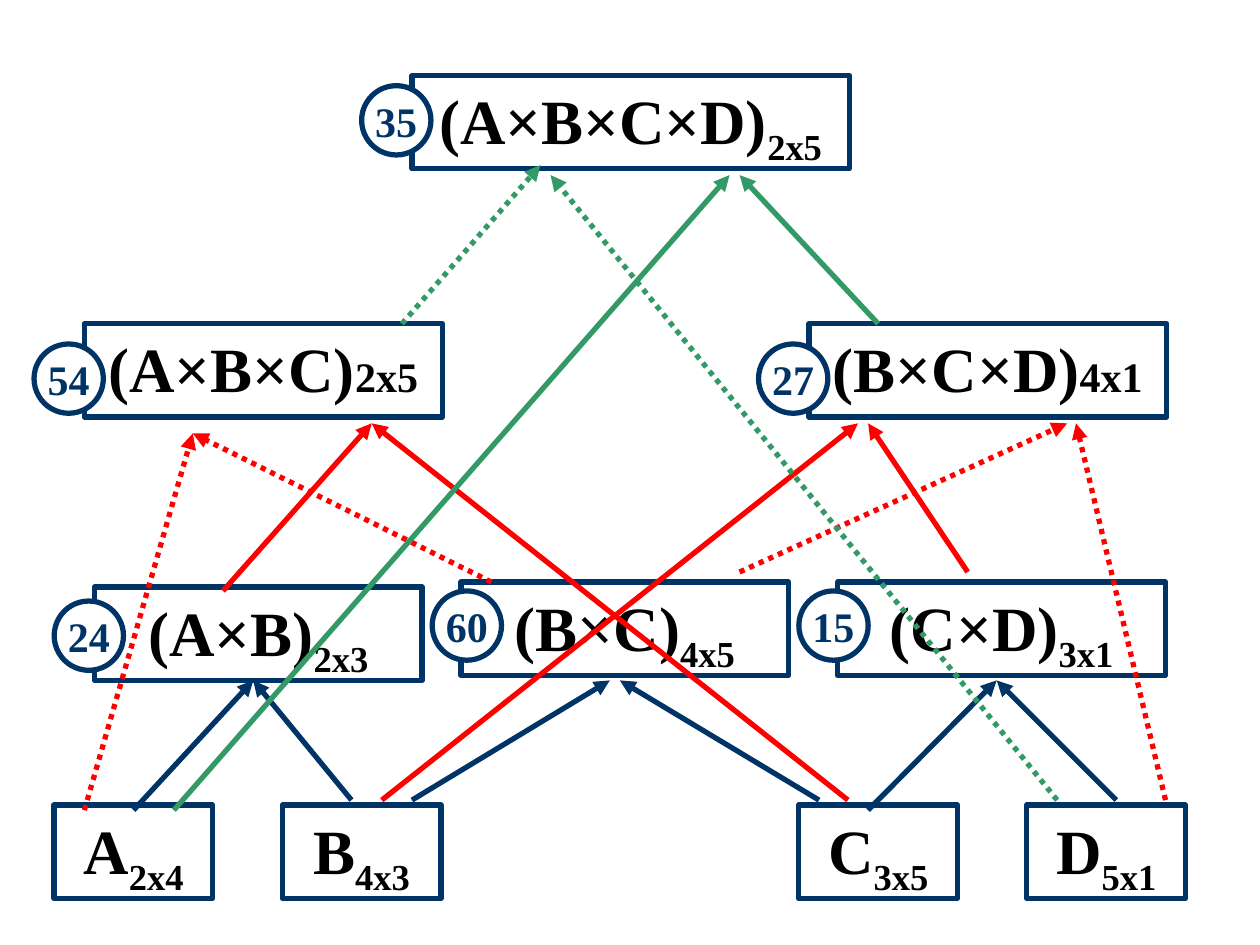
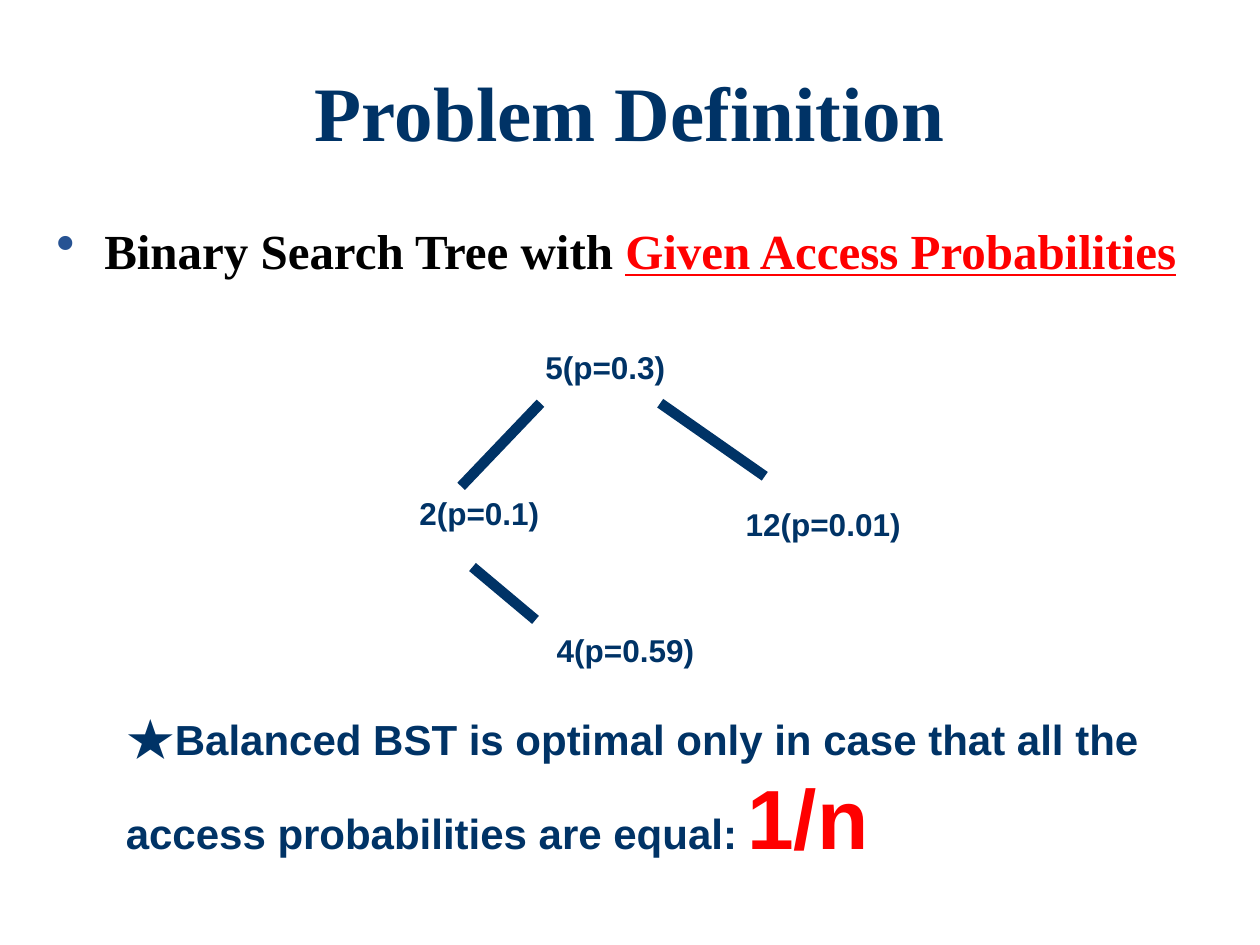
from dataclasses import dataclass

from lxml import etree
from pptx import Presentation
from pptx.dml.color import RGBColor
from pptx.enum.dml import MSO_LINE
from pptx.enum.shapes import MSO_CONNECTOR, MSO_SHAPE
from pptx.enum.text import MSO_ANCHOR, MSO_AUTO_SIZE, PP_ALIGN
from pptx.oxml.ns import qn
from pptx.util import Pt

PX = 9144  # EMU per px, 100 px to the inch


@dataclass(frozen=True)
class Theme:
    navy: str = "003366"
    red: str = "FF0000"
    green: str = "339966"
    black: str = "000000"
    white: str = "FFFFFF"
    bullet: str = "275393"
    serif: str = "Times New Roman"
    sans: str = "Arial"
    title: int = 44
    matrix: int = 36
    body: int = 28
    note: int = 24
    label: int = 18
    gap: int = 20
    accent: int = 48
    line: int = 3
    branch: int = 6


def rgb(color):
    return RGBColor.from_string(color)


class Deck:
    def __init__(self, theme):
        self.t = theme
        self.prs = Presentation()
        self.prs.slide_width, self.prs.slide_height = 1000 * PX, 750 * PX
        self.s = None

    def new_slide(self, layout):
        self.s = self.prs.slides.add_slide(self.prs.slide_layouts.get_by_name(layout))

    def run(self, p, text, size, color, font=None, underline=None, baseline=0):
        r = p.add_run()
        r.text = text
        r.font.size, r.font.bold = Pt(size), True
        r.font.name = font or self.t.serif
        r.font.color.rgb = rgb(color)
        r.font.underline = underline
        if baseline:
            r._r.get_or_add_rPr().set("baseline", str(baseline * 1000))

    def title(self, text, x, y, w, h):
        sp = self.s.shapes.title
        sp.left, sp.top, sp.width, sp.height = (v * PX for v in (x, y, w, h))
        tf = sp.text_frame
        tf.auto_size, tf.vertical_anchor = MSO_AUTO_SIZE.NONE, MSO_ANCHOR.MIDDLE
        p = tf.paragraphs[0]
        p.alignment, p.line_spacing = PP_ALIGN.CENTER, 0.9
        self.run(p, text, self.t.title, self.t.navy)

    def outline(self, kind, x, y, w, h):
        """White shape with a navy outline; returns its text frame."""
        sp = self.s.shapes.add_shape(kind, x * PX, y * PX, w * PX, h * PX)
        sp.shadow.inherit = False
        sp.fill.solid()
        sp.fill.fore_color.rgb = rgb(self.t.white)
        sp.line.color.rgb = rgb(self.t.navy)
        sp.line.width = Pt(self.t.line)
        tf = sp.text_frame
        tf.paragraphs[0].alignment = PP_ALIGN.CENTER
        return tf

    def matrix(self, name, dims, x, y, w, lowered=True):
        tf = self.outline(MSO_SHAPE.RECTANGLE, x, y, w, 74)
        tf.word_wrap, tf.vertical_anchor = True, MSO_ANCHOR.TOP
        tf.auto_size = MSO_AUTO_SIZE.SHAPE_TO_FIT_TEXT
        p = tf.paragraphs[0]
        self.run(p, name, self.t.matrix, self.t.black)
        if lowered:
            self.run(p, dims, self.t.matrix, self.t.black, baseline=-25)
        else:
            self.run(p, dims, self.t.note, self.t.black)

    def cost(self, value, x, y):
        tf = self.outline(MSO_SHAPE.OVAL, x, y, 55, 55)
        tf.word_wrap, tf.vertical_anchor = False, MSO_ANCHOR.MIDDLE
        self.run(tf.paragraphs[0], value, self.t.note, self.t.navy)

    def line(self, start, end, color, width, dotted=False, arrow=False):
        ends = [v * PX for v in (*start, *end)]
        cx = self.s.shapes.add_connector(MSO_CONNECTOR.STRAIGHT, *ends)
        cx.line.color.rgb = rgb(color)
        cx.line.width = Pt(width)
        if dotted:
            cx.line.dash_style = MSO_LINE.ROUND_DOT
        if arrow:
            etree.SubElement(cx.line._get_or_add_ln(), qn("a:tailEnd"), type="triangle")
        etree.SubElement(cx._element.spPr, qn("a:effectLst"))

    def text(self, x, y, w, h, wrap=True, grow=True):
        """Empty text box; returns its first paragraph."""
        tf = self.s.shapes.add_textbox(x * PX, y * PX, w * PX, h * PX).text_frame
        tf.word_wrap = wrap
        tf.auto_size = MSO_AUTO_SIZE.SHAPE_TO_FIT_TEXT if grow else MSO_AUTO_SIZE.NONE
        return tf.paragraphs[0]

    def bullet(self, p, indent):
        p.space_before = Pt(6)
        pPr = p._p.get_or_add_pPr()
        pPr.set("marL", str(indent * PX))
        pPr.set("indent", str(-indent * PX))
        clr = etree.SubElement(pPr, qn("a:buClr"))
        etree.SubElement(clr, qn("a:srgbClr"), val=self.t.bullet)
        etree.SubElement(pPr, qn("a:buSzPct"), val="110000")
        etree.SubElement(pPr, qn("a:buChar"), char="•")


def chain_slide(d):
    t = d.t
    d.new_slide("Blank")

    # Single matrices
    for name, dims, x in (("A", "2x4", 43), ("B", "4x3", 224),
                          ("C", "3x5", 634), ("D", "5x1", 815)):
        d.matrix(name, dims, x, 639, 126)

    # Products of two, three and four
    for name, dims, x, y in (("(A×B)", "2x3", 75, 466), ("(B×C)", "4x5", 366, 462),
                             ("(C×D)", "3x1", 665, 462)):
        d.matrix(name, dims, x, y, 260)
    for name, dims, x in (("(A×B×C)", "2x5", 67), ("(B×C×D)", "4x1", 642)):
        d.matrix(name, dims, x, 257, 284, lowered=False)
    d.matrix("(A×B×C×D)", "2x5", 327, 60, 347)

    # Arrows by level: (start, end, dotted)
    levels = (
        (t.navy, (((106, 643), (201, 540), False), ((279, 635), (201, 540), False),
                  ((327, 635), (484, 540), False), ((650, 635), (492, 540), False),
                  ((689, 643), (791, 540), False), ((886, 635), (791, 540), False))),
        (t.red, (((177, 469), (295, 336), False), ((673, 635), (295, 336), False),
                 ((390, 462), (153, 344), True), ((67, 643), (153, 344), True),
                 ((768, 454), (689, 336), False), ((303, 635), (681, 336), False),
                 ((925, 635), (854, 336), True), ((587, 454), (847, 336), True))),
        (t.green, (((319, 257), (429, 131), True), ((839, 635), (437, 139), True),
                   ((138, 643), (579, 139), False), ((697, 257), (587, 139), False))),
    )
    for color, arrows in levels:
        for start, end, dotted in arrows:
            d.line(start, end, color, t.line, dotted, arrow=True)

    # Costs
    for value, x, y in (("24", 43, 477), ("60", 343, 469), ("15", 634, 469),
                        ("54", 27, 273), ("27", 602, 273), ("35", 287, 68)):
        d.cost(value, x, y)


def bst_slide(d):
    t = d.t
    d.new_slide("Title Only")
    d.title("Problem Definition", 50, 30, 900, 125)

    p = d.text(35, 170, 930, 495, grow=False)
    d.bullet(p, 38)
    d.run(p, "Binary Search Tree with ", t.body, t.black)
    d.run(p, "Given Access Probabilities", t.body, t.red, underline=True)

    # Search tree
    for label, x, y, w in (("5(p=0.3)", 423, 271, 115), ("2(p=0.1)", 323, 387, 115),
                           ("4(p=0.59)", 432, 496, 129), ("12(p=0.01)", 582, 396, 143)):
        d.run(d.text(x, y, w, 40, wrap=False), label, t.label, t.navy, t.sans)
    for start, end in (((429, 320), (366, 386)), ((375, 450), (425, 492)),
                       ((524, 320), (607, 378))):
        d.line(start, end, t.navy, t.branch)

    # Remark
    p = d.text(90, 556, 850, 170)
    d.run(p, "★", t.body, t.navy)
    d.run(p, "Balanced BST is optimal only in case that all the access "
             "probabilities are equal:", t.note, t.navy, t.sans)
    d.run(p, " ", t.gap, t.navy, t.sans)
    d.run(p, "1/n", t.accent, t.red, t.sans)


def main():
    d = Deck(Theme())
    chain_slide(d)
    bst_slide(d)
    d.prs.save("out.pptx")


if __name__ == "__main__":
    main()
